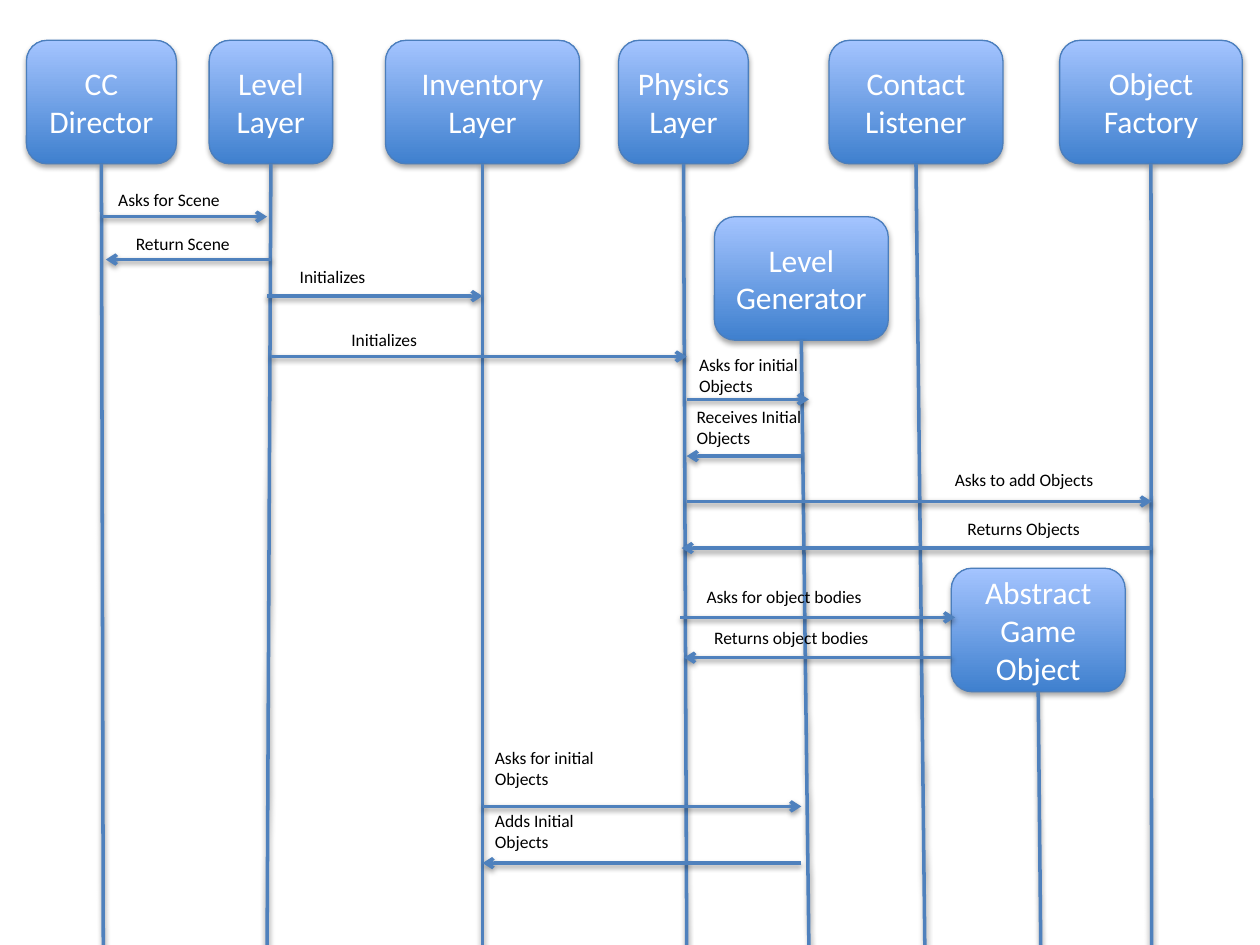
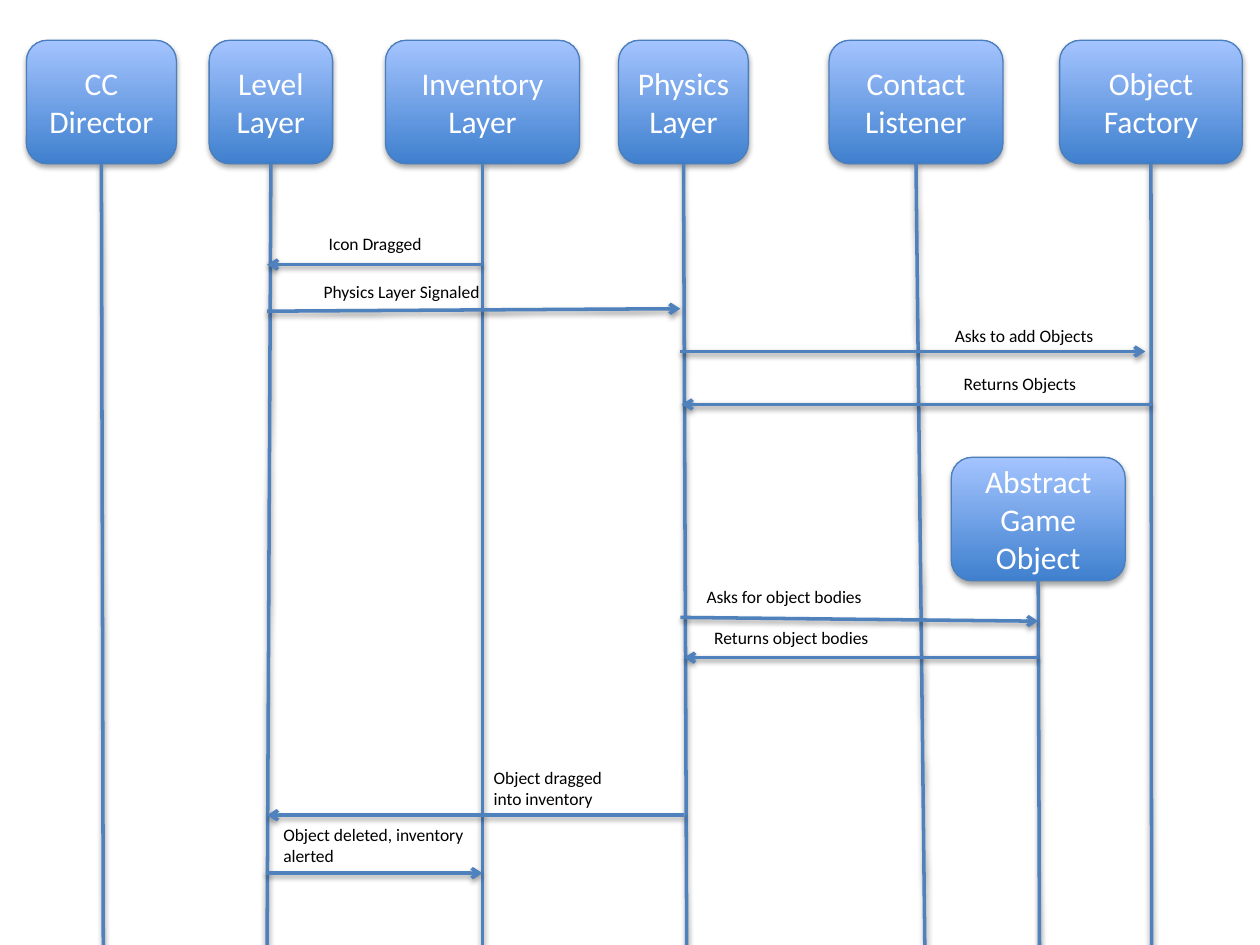
from lxml.etree import SubElement
from pptx import Presentation
from pptx.dml.color import RGBColor
from pptx.enum.shapes import MSO_CONNECTOR, MSO_SHAPE
from pptx.enum.text import MSO_ANCHOR, MSO_AUTO_SIZE, PP_ALIGN
from pptx.oxml.ns import qn
from pptx.util import Inches, Pt

# Shared style
FONT = "Calibri"
BOX_TOP, BOX_BOTTOM = "A4C4FF", "3F80CE"
BOX_LINE, LINE = "4B7EBC", "4F81BD"
WHITE, BLACK = "FFFFFF", "000000"
SLIDE_W, SLIDE_H = 10, 7.5
HEAD_TOP, BOX_H = 0.32, 0.98
LABEL_H = {1: 0.27, 2: 0.44}  # by number of text lines

# Participants on both slides: name, left, top, width, x at the lifeline's foot
PARTICIPANTS = [
    ("CC Director", 0.21, HEAD_TOP, 1.19, 0.82),
    ("Level Layer", 1.66, HEAD_TOP, 0.98, 2.12),
    ("Inventory Layer", 3.06, HEAD_TOP, 1.54, 3.83),
    ("Physics Layer", 4.91, HEAD_TOP, 1.03, 5.45),
    ("Contact Listener", 6.58, HEAD_TOP, 1.38, 7.34),
    ("Object Factory", 8.41, HEAD_TOP, 1.45, 9.14),
]

# Each slide: extra participants, then messages as
# (text, (label left, top, width), (from x, y), (to x, y))
SLIDES = [
    {
        "extra": [
            ("Level\nGenerator", 5.67, 1.72, 1.38, 6.42),
            ("Abstract Game Object", 7.55, 4.51, 1.38, 8.26),
        ],
        "messages": [
            ("Asks for Scene", (0.84, 1.45, 1.14), (0.81, 1.72), (2.12, 1.72)),
            ("Return Scene", (0.98, 1.8, 1.14), (2.15, 2.06), (0.84, 2.06)),
            ("Initializes", (2.28, 2.06, 1.55), (2.12, 2.35), (3.83, 2.35)),
            ("Initializes", (2.69, 2.56, 1.14), (2.15, 2.83), (5.45, 2.83)),
            ("Asks for initial\nObjects", (5.45, 2.76, 2.96), (5.45, 3.17), (6.42, 3.17)),
            ("Receives Initial\nObjects", (5.43, 3.17, 2.42), (6.36, 3.62), (5.45, 3.62)),
            ("Asks to add Objects", (7.48, 3.67, 2.96), (5.45, 3.98), (9.14, 3.98)),
            ("Returns Objects", (7.58, 4.06, 2.96), (9.14, 4.35), (5.41, 4.35)),
            ("Asks for object bodies", (5.51, 4.6, 2.96), (5.4, 4.9), (7.58, 4.9)),
            ("Returns object bodies", (5.57, 4.93, 2.96), (7.55, 5.22), (5.43, 5.22)),
            ("Asks for initial\nObjects", (3.83, 5.88, 3.23), (3.83, 6.4), (6.36, 6.4)),
            ("Adds Initial\nObjects", (3.83, 6.38, 2.42), (6.36, 6.85), (3.83, 6.85)),
        ],
    },
    {
        "extra": [("Abstract Game Object", 7.55, 3.63, 1.38, 8.25)],
        "messages": [
            ("Icon Dragged", (2.51, 1.8, 1.68), (3.83, 2.1), (2.12, 2.1)),
            ("Physics Layer Signaled", (2.47, 2.18, 1.68), (2.12, 2.47), (5.4, 2.45)),
            ("Asks to add Objects", (7.48, 2.53, 2.96), (5.4, 2.79), (9.09, 2.79)),
            ("Returns Objects", (7.55, 2.91, 2.96), (9.14, 3.21), (5.41, 3.21)),
            ("Asks for object bodies", (5.51, 4.6, 2.96), (5.4, 4.9), (8.24, 4.93)),
            ("Returns object bodies", (5.57, 4.93, 2.96), (8.24, 5.22), (5.43, 5.22)),
            ("Object dragged\vinto inventory", (3.82, 6.04, 2.96), (5.43, 6.47), (2.12, 6.47)),
            ("Object deleted, inventory\nalerted", (2.15, 6.49, 2.96), (2.11, 6.93), (3.83, 6.93)),
        ],
    },
]


def rgb(color):
    return RGBColor.from_string(color)


def set_line(sp, color, width):
    sp.line.color.rgb = rgb(color)
    sp.line.width = Pt(width)


def add_shadow(sp, opacity, distance):
    """Soft black shadow straight below; opacity in percent, distance in points."""
    effects = SubElement(sp._element.spPr, qn("a:effectLst"))
    shadow = SubElement(effects, qn("a:outerShdw"), blurRad=str(Pt(3.1)),
                        dist=str(Pt(distance)), dir="5400000", rotWithShape="0")
    black = SubElement(shadow, qn("a:srgbClr"), val=BLACK)
    SubElement(black, qn("a:alpha"), val=str(opacity * 1000))


def write(tf, text, size, color, align, **frame):
    tf.text = text
    for name, value in {"word_wrap": True, **frame}.items():
        setattr(tf, name, value)
    for p in tf.paragraphs:
        p.alignment = align
        for r in p.runs:
            for name, value in {"name": FONT, "size": Pt(size)}.items():
                setattr(r.font, name, value)
            r.font.color.rgb = rgb(color)


def add_box(s, text, left, top, width):
    sp = s.shapes.add_shape(MSO_SHAPE.ROUNDED_RECTANGLE, Inches(left), Inches(top),
                            Inches(width), Inches(BOX_H))
    sp.fill.gradient()
    sp.fill.gradient_angle = 90
    for stop, color in zip(sp.fill.gradient_stops, (BOX_BOTTOM, BOX_TOP)):
        stop.color.rgb = rgb(color)
    set_line(sp, BOX_LINE, 0.75)
    add_shadow(sp, 35, 1.8)
    write(sp.text_frame, text, 18, WHITE, PP_ALIGN.CENTER,
          vertical_anchor=MSO_ANCHOR.MIDDLE)


def add_line(s, start, end, arrow=False):
    sp = s.shapes.add_connector(MSO_CONNECTOR.STRAIGHT,
                                *(Inches(v) for v in (*start, *end)))
    set_line(sp, LINE, 2)
    if arrow:
        SubElement(sp.line._get_or_add_ln(), qn("a:tailEnd"), type="arrow")
    add_shadow(sp, 38, 1.6)


def add_label(s, text, left, top, width):
    height = LABEL_H[len(text.splitlines())]
    sp = s.shapes.add_textbox(*(Inches(v) for v in (left, top, width, height)))
    write(sp.text_frame, text, 10, BLACK, PP_ALIGN.LEFT,
          auto_size=MSO_AUTO_SIZE.SHAPE_TO_FIT_TEXT)


prs = Presentation()
prs.slide_width, prs.slide_height = Inches(SLIDE_W), Inches(SLIDE_H)

for content in SLIDES:
    s = prs.slides.add_slide(prs.slide_layouts[6])
    # Participants, each with a lifeline to the foot of the slide
    for name, left, top, width, foot_x in PARTICIPANTS + content["extra"]:
        add_box(s, name, left, top, width)
        add_line(s, (left + width / 2, top + BOX_H), (foot_x, SLIDE_H))
    # Messages between lifelines
    for text, label, start, end in content["messages"]:
        add_line(s, start, end, arrow=True)
        add_label(s, text, *label)

prs.save("out.pptx")
